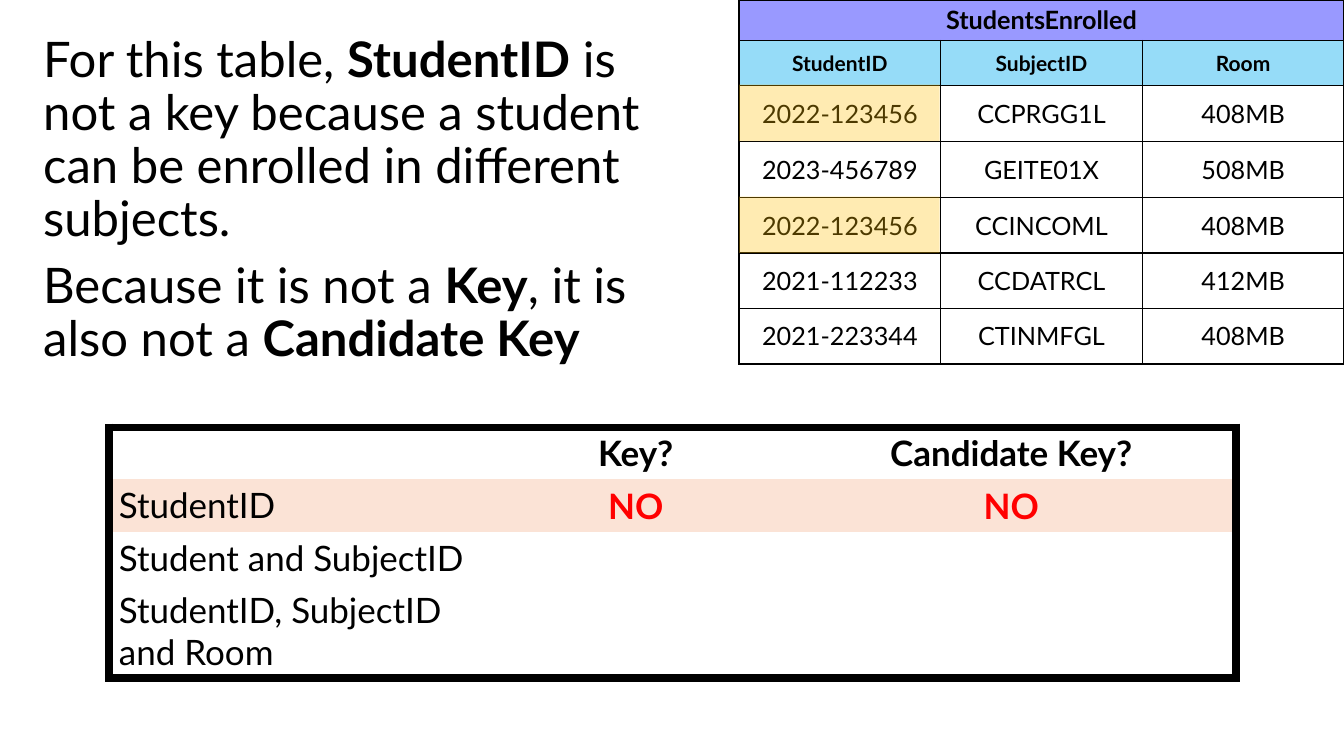
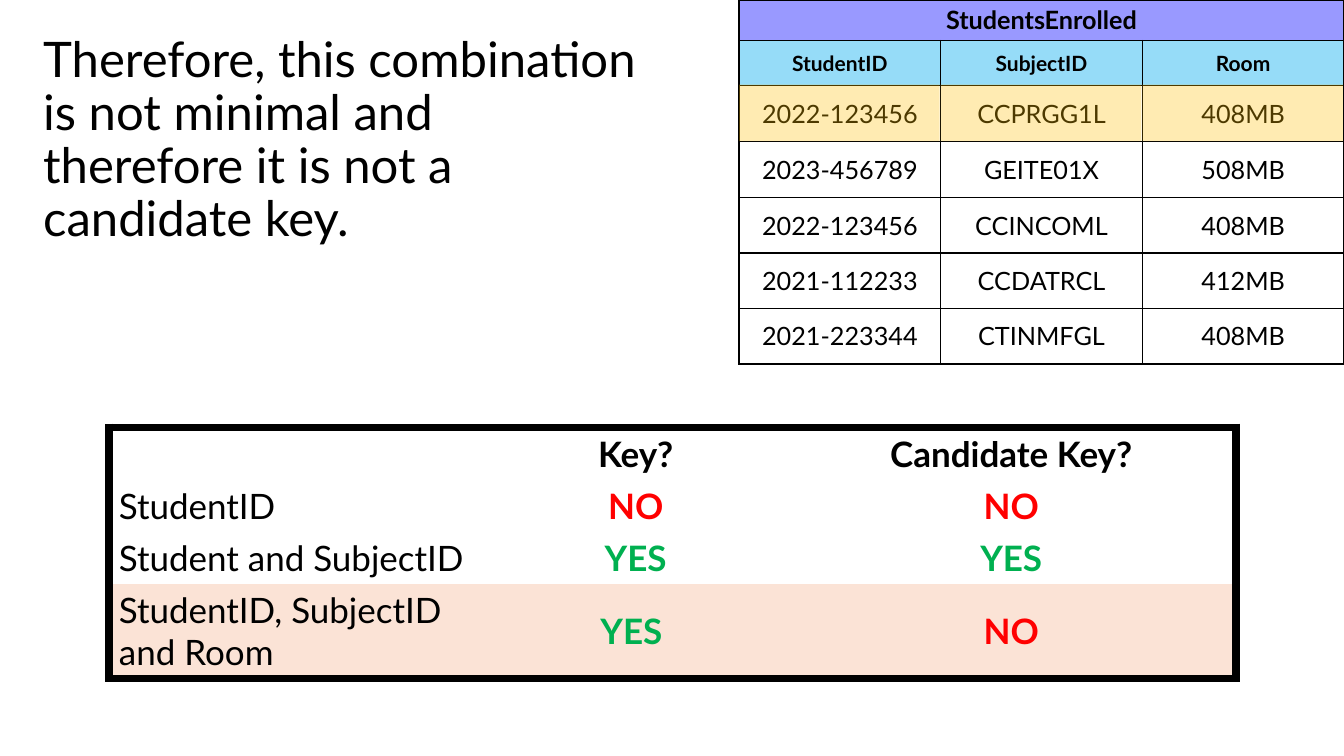
from lxml.etree import SubElement
from pptx import Presentation
from pptx.dml.color import RGBColor
from pptx.enum.shapes import MSO_SHAPE
from pptx.enum.text import MSO_ANCHOR, PP_ALIGN
from pptx.oxml.ns import qn
from pptx.util import Inches, Pt

FONT = "Lato"
COLORS = {"black": "000000", "title": "9999FF", "header": "96DCF8", "highlight": "FFC000",
          "current": "FBE3D6", "no": "FF0000", "yes": "00B050"}

ENROLLED_LEFT, ENROLLED_COL = 7.33, 2
ENROLLED_ROWS = [0.39, 0.45, 0.55, 0.56, 0.55, 0.55, 0.55]
ENROLLED = [
    ("StudentsEnrolled", "", ""),
    ("StudentID", "SubjectID", "Room"),
    ("2022-123456", "CCPRGG1L", "408MB"),
    ("2023-456789", "GEITE01X", "508MB"),
    ("2022-123456", "CCINCOML", "408MB"),
    ("2021-112233", "CCDATRCL", "412MB"),
    ("2021-223344", "CTINMFGL", "408MB"),
]
KEY_COLS = [3.73, 2.99, 4.46]
KEY_ROWS = [0.51, 0.52, 0.52, 0.93]
KEY_LABELS = ["StudentID", "Student and SubjectID", "StudentID, SubjectID and Room"]


def rgb(name):
    return RGBColor.from_string(COLORS[name])


def write(tf, text, size, color="black", bold=False, align=PP_ALIGN.LEFT,
          line_spacing=None, gap=0):
    """Write one paragraph per line; *starred* words switch the weight."""
    tf.word_wrap = True
    for i, line in enumerate(text.split("\n")):
        p = tf.add_paragraph() if i else tf.paragraphs[0]
        p.alignment = align
        p.line_spacing = line_spacing
        if i:
            p.space_before = Pt(gap)
        for j, part in enumerate(line.split("*")):
            if part:
                r = p.add_run()
                r.text = part
                r.font.name, r.font.size = FONT, Pt(size)
                r.font.bold = bold != (j % 2 == 1)
                r.font.color.rgb = rgb(color)


def set_borders(cell, widths):
    """Draw the sides named in widths (L, R, T, B) and clear the others."""
    tc_pr = cell._tc.get_or_add_tcPr()
    for side in "LRTB":
        ln = SubElement(tc_pr, qn(f"a:ln{side}"), w=str(Pt(widths.get(side, 0))))
        if side in widths:
            fill = SubElement(ln, qn("a:solidFill"))
            SubElement(fill, qn("a:srgbClr"), val=COLORS["black"])
        else:
            SubElement(ln, qn("a:noFill"))


def set_fill(cell, color):
    if color:
        cell.fill.solid()
        cell.fill.fore_color.rgb = rgb(color)
    else:
        cell.fill.background()


def add_plain_table(s, left, top, cols, rows):
    table = s.shapes.add_table(len(rows), len(cols), Inches(left), Inches(top),
                               Inches(sum(cols)), Inches(sum(rows))).table
    table.first_row = table.horz_banding = False
    for col, width in zip(table.columns, cols):
        col.width = Inches(width)
    for row, height in zip(table.rows, rows):
        row.height = Inches(height)
    return table


def add_enrolled_table(s):
    table = add_plain_table(s, ENROLLED_LEFT, 0, [ENROLLED_COL] * 3, ENROLLED_ROWS)
    table.cell(0, 0).merge(table.cell(0, 2))
    for i, values in enumerate(ENROLLED):
        for j, value in enumerate(values):
            cell = table.cell(i, j)
            cell.vertical_anchor = MSO_ANCHOR.MIDDLE
            set_borders(cell, dict.fromkeys("LRTB", 1))
            set_fill(cell, {0: "title", 1: "header"}.get(i))
            if value:
                write(cell.text_frame, value, 15 if i == 1 else 18, bold=i < 2,
                      align=PP_ALIGN.CENTER)


def add_key_table(s, answers, current):
    """Show the answers per combination and shade the current row."""
    table = add_plain_table(s, 1.08, 4.24, KEY_COLS, KEY_ROWS)
    rows = [("", "Key?", "Candidate Key?")]
    rows += [(label, *pair) for label, pair in zip(KEY_LABELS, answers)]
    for i, values in enumerate(rows):
        for j, value in enumerate(values):
            cell = table.cell(i, j)
            edges = {"L": j == 0, "R": j == 2, "T": i == 0, "B": i == len(rows) - 1}
            set_borders(cell, {side: 6 for side, outer in edges.items() if outer})
            set_fill(cell, "current" if i == current else None)
            if j:
                cell.vertical_anchor = MSO_ANCHOR.MIDDLE
            if value:
                color = {"NO": "no", "YES": "yes"}.get(value.strip(), "black")
                write(cell.text_frame, value, 25, color=color, bold=j > 0,
                      align=PP_ALIGN.CENTER if j else PP_ALIGN.LEFT)


def add_explanation(s, text, height):
    box = s.shapes.add_textbox(Inches(0.33), Inches(0.3), Inches(6.16), Inches(height))
    write(box.text_frame, text, 35, line_spacing=0.9, gap=10)


def add_highlight(s, row, col):
    """Lay a translucent marker over one cell of the enrolment table."""
    sp = s.shapes.add_shape(MSO_SHAPE.RECTANGLE,
                            Inches(ENROLLED_LEFT + col * ENROLLED_COL),
                            Inches(sum(ENROLLED_ROWS[:row])), Inches(1.99), Inches(0.56))
    sp.shadow.inherit = False
    sp.line.fill.background()
    sp.fill.solid()
    sp.fill.fore_color.rgb = rgb("highlight")
    color = sp._element.spPr.find(qn("a:solidFill"))[0]
    SubElement(color, qn("a:alpha"), val="30000")


def add_key_slide(prs, text, text_height, answers, current, highlights):
    s = prs.slides.add_slide(prs.slide_layouts[6])
    add_enrolled_table(s)
    add_key_table(s, answers, current)
    add_explanation(s, text, text_height)
    for row, col in highlights:
        add_highlight(s, row, col)


def main():
    prs = Presentation()
    prs.slide_width, prs.slide_height = Inches(13.33), Inches(7.5)
    add_key_slide(
        prs,
        "For this table, *StudentID* is not a key because a student can be enrolled "
        "in different subjects.\n"
        "Because it is not a *Key*, it is also not a *Candidate Key*",
        2.06, [("NO", "NO"), ("", ""), ("", "")], 1, [(2, 0), (4, 0)])
    add_key_slide(
        prs,
        "Therefore, this combination is not minimal and therefore it is not "
        "a candidate key.",
        3.94, [("NO", "NO"), ("YES", "YES"), ("YES ", "NO")], 3,
        [(2, col) for col in range(3)])
    prs.save("out.pptx")


if __name__ == "__main__":
    main()
